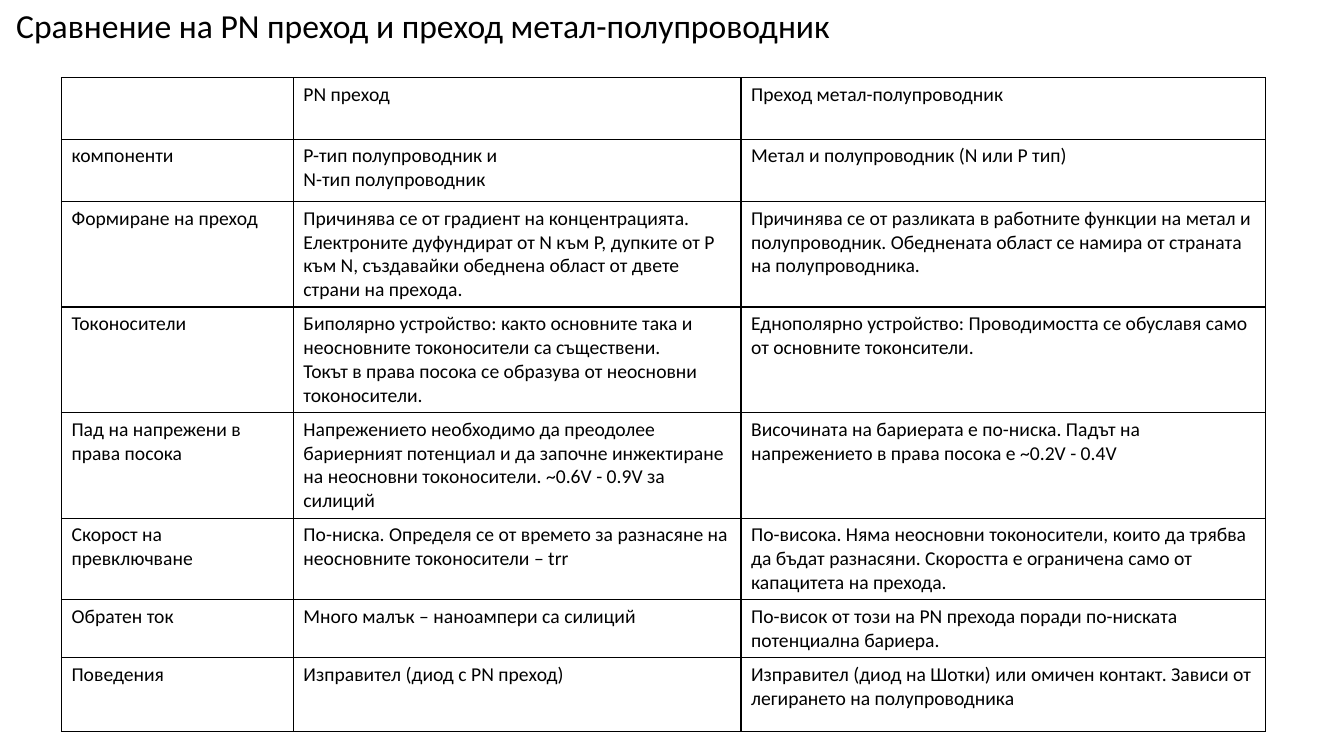
from typing import NamedTuple

import lxml.etree
import pptx
import pptx.dml.color
import pptx.enum.text
import pptx.oxml.ns
import pptx.slide
import pptx.table
import pptx.text.text
import pptx.util

Inches = pptx.util.Inches
BLACK = pptx.dml.color.RGBColor(0x00, 0x00, 0x00)
TITLE_FONT = {"name": "Calibri", "size": pptx.util.Pt(24), "bold": False}
CELL_FONT = {"name": "Calibri", "size": pptx.util.Pt(14), "bold": False}
BORDER_WIDTH = pptx.util.Pt(1)
TITLE = "Сравнение на PN преход и преход метал-полупроводник"
COLUMN_WIDTHS = (2.3, 4.44, 5.2)


class ComparisonRow(NamedTuple):
    height: float
    feature: str
    pn_junction: str
    metal_junction: str


# A newline starts a paragraph, \v breaks a line within one
ROWS = (
    ComparisonRow(0.61, "", "PN преход", "Преход метал-полупроводник"),
    ComparisonRow(
        0.62, "компоненти",
        "P-тип полупроводник и\nN-тип полупроводник",
        "Метал и полупроводник (N или P тип)"),
    ComparisonRow(
        0.73, "Формиране на преход",
        "Причинява се от градиент на концентрацията. Електроните дуфундират "
        "от N към P, дупките от P към N, създавайки обеднена област от двете "
        "страни на прехода.",
        "Причинява се от разликата в работните функции на метал и "
        "полупроводник. Обеднената област се намира от страната на "
        "полупроводника."),
    ComparisonRow(
        0.73, "Токоносители",
        "Биполярно устройство: както основните така и неосновните "
        "токоносители са съществени. \vТокът в права посока се образува от "
        "неосновни токоносители.",
        "Еднополярно устройство: Проводимостта се обуславя само от основните "
        "токонсители."),
    ComparisonRow(
        0.73, "Пад на напрежени в права посока",
        "Напрежението необходимо да преодолее бариерният потенциал и да "
        "започне инжектиране на неосновни токоносители. ~0.6V - 0.9V за "
        "силиций",
        "Височината на бариерата е по-ниска. Падът на напрежението в права "
        "посока е ~0.2V - 0.4V"),
    ComparisonRow(
        0.73, "Скорост на превключване",
        "По-ниска. Определя се от времето за разнасяне на неосновните "
        "токоносители – trr",
        "По-висока. Няма неосновни токоносители, които да трябва да бъдат "
        "разнасяни. Скоростта е ограничена само от капацитета на прехода."),
    ComparisonRow(
        0.54, "Обратен ток",
        "Много малък – наноампери са силиций",
        "По-висок от този на PN прехода поради по-ниската потенциална "
        "бариера."),
    ComparisonRow(
        0.73, "Поведения",
        "Изправител (диод с PN преход)",
        "Изправител (диод на Шотки) или омичен контакт. Зависи от "
        "легирането на полупроводника"),
)


def format_text(frame: pptx.text.text.TextFrame, font_format: dict) -> None:
    for para in frame.paragraphs:
        for target in (para, *para.runs):
            for name, value in font_format.items():
                setattr(target.font, name, value)
            target.font.color.rgb = BLACK


def add_borders(cell: pptx.table._Cell) -> None:
    qn = pptx.oxml.ns.qn
    properties = cell._tc.get_or_add_tcPr()
    # Border lines come before the fill
    for index, side in enumerate(("lnL", "lnR", "lnT", "lnB")):
        line = properties.makeelement(qn(f"a:{side}"), {"w": str(BORDER_WIDTH)})
        fill = lxml.etree.SubElement(line, qn("a:solidFill"))
        lxml.etree.SubElement(fill, qn("a:srgbClr"), val=str(BLACK))
        properties.insert(index, line)


def add_title(page: pptx.slide.Slide) -> None:
    title = page.shapes.title
    title.left, title.top = Inches(0.06), Inches(0)
    title.width, title.height = Inches(12.53), Inches(0.6)
    frame = title.text_frame
    frame.text = TITLE
    frame.word_wrap = True
    frame.auto_size = pptx.enum.text.MSO_AUTO_SIZE.NONE
    frame.vertical_anchor = pptx.enum.text.MSO_ANCHOR.TOP
    para = frame.paragraphs[0]
    para.alignment = pptx.enum.text.PP_ALIGN.LEFT
    para.line_spacing = 1.0
    format_text(frame, TITLE_FONT)


def add_comparison(page: pptx.slide.Slide) -> None:
    frame = page.shapes.add_table(
        len(ROWS), len(COLUMN_WIDTHS), Inches(0.61), Inches(0.77),
        Inches(sum(COLUMN_WIDTHS)), Inches(sum(row.height for row in ROWS)))
    table = frame.table
    table.first_row = table.horz_banding = False
    for column, width in zip(table.columns, COLUMN_WIDTHS):
        column.width = Inches(width)
    for table_row, row in zip(table.rows, ROWS):
        table_row.height = Inches(row.height)
        for cell, text in zip(table_row.cells, row[1:]):
            cell.text = text
            cell.fill.background()
            format_text(cell.text_frame, CELL_FONT)
            add_borders(cell)


def main() -> None:
    deck = pptx.Presentation()
    deck.slide_width, deck.slide_height = Inches(13.33), Inches(7.5)
    page = deck.slides.add_slide(deck.slide_layouts.get_by_name("Title Only"))
    add_title(page)
    add_comparison(page)
    deck.save("out.pptx")


if __name__ == "__main__":
    main()
